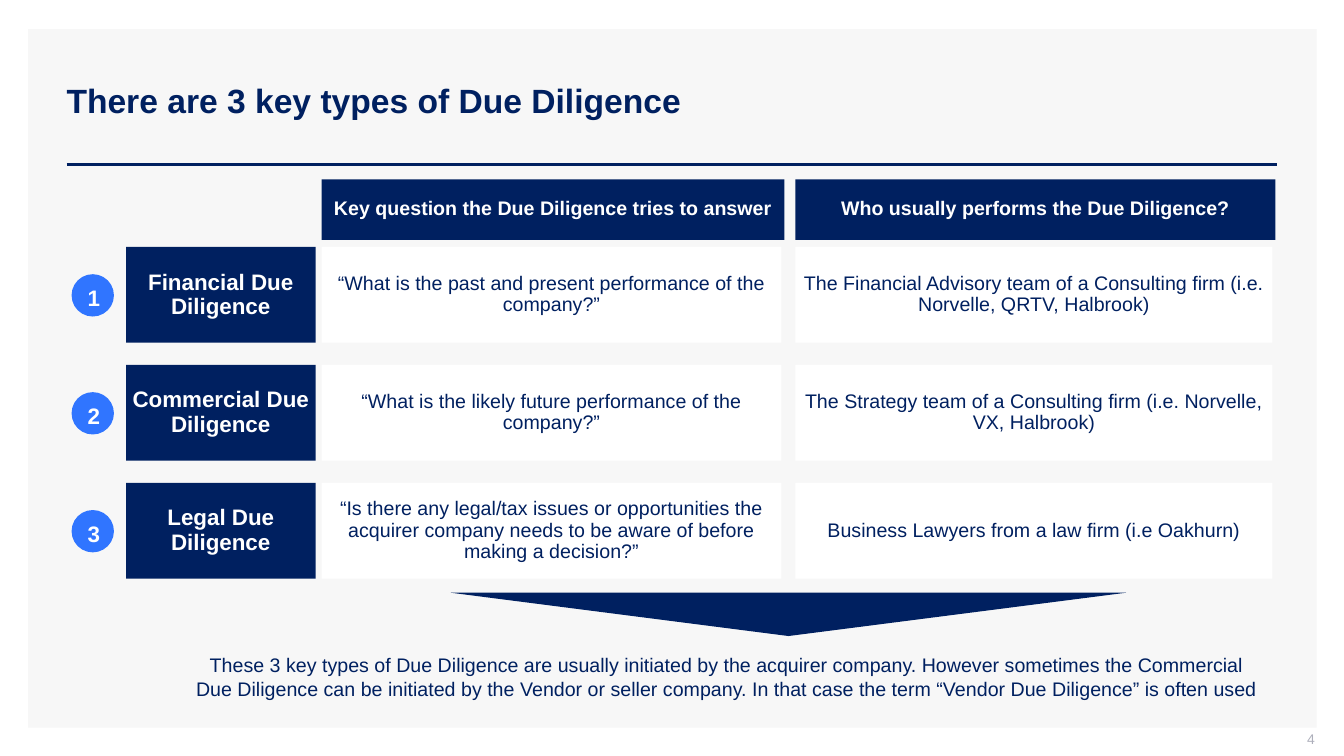
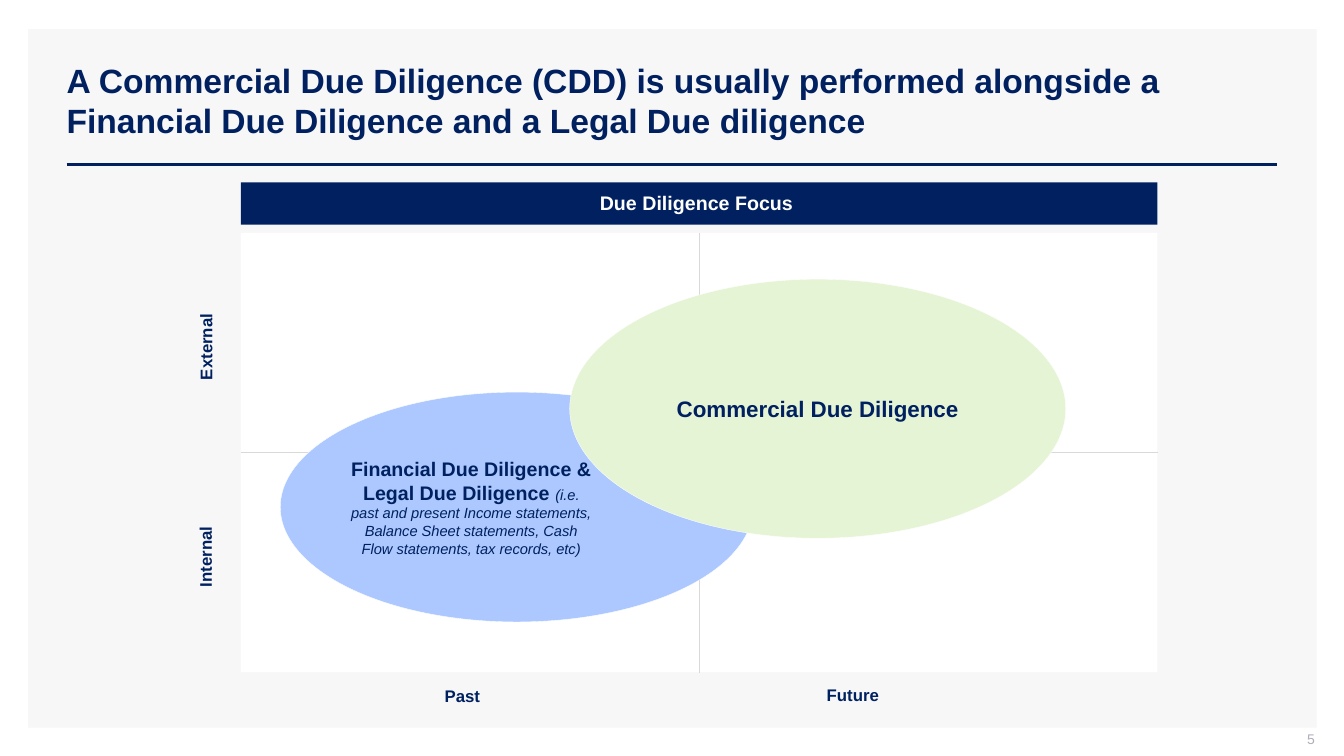
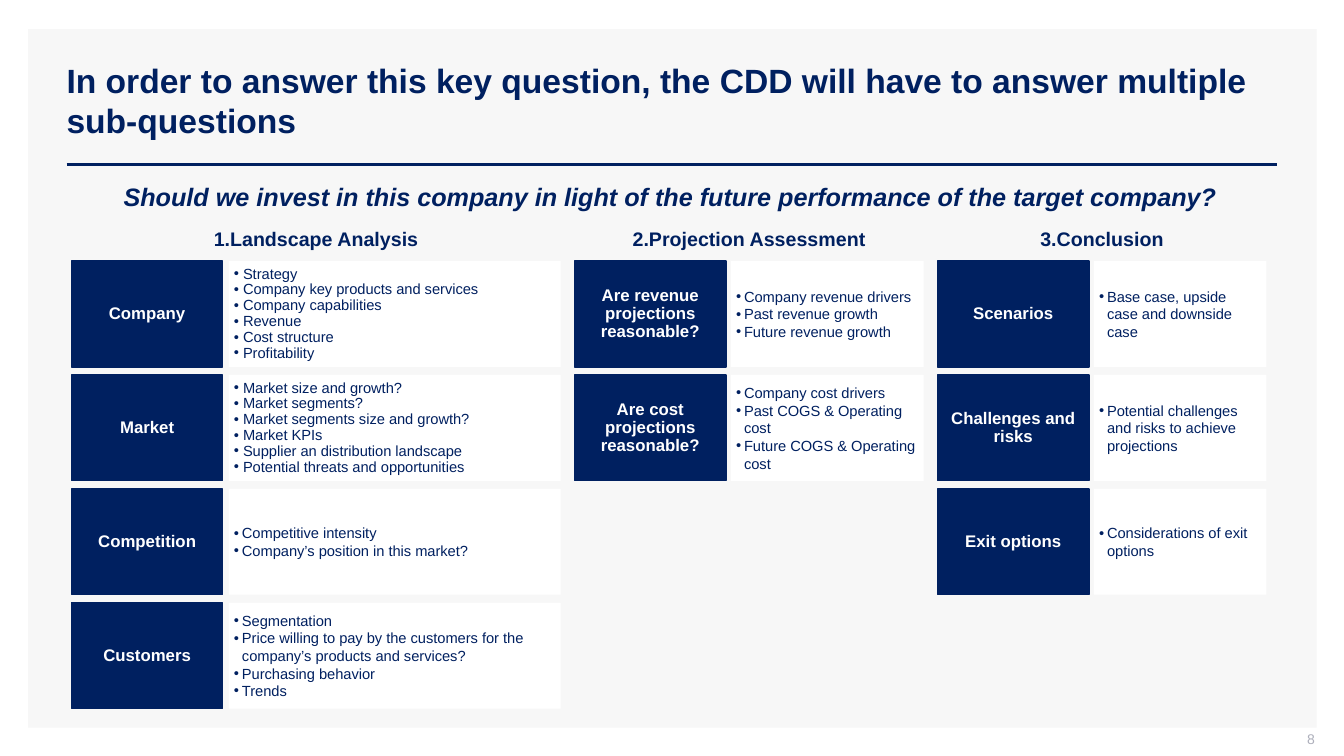
import pptx
import pptx.dml.color
import pptx.enum.dml
import pptx.enum.shapes
import pptx.enum.text
import pptx.oxml.ns
import pptx.util
from lxml import etree

Inches = pptx.util.Inches
Pt = pptx.util.Pt
RGBColor = pptx.dml.color.RGBColor
Shape = pptx.enum.shapes.MSO_SHAPE
Align = pptx.enum.text.PP_ALIGN
Anchor = pptx.enum.text.MSO_ANCHOR
AutoSize = pptx.enum.text.MSO_AUTO_SIZE
qn = pptx.oxml.ns.qn

NAVY = RGBColor(0x00, 0x20, 0x60)
BLUE = RGBColor(0x30, 0x75, 0xFF)
PALE_BLUE = RGBColor(0xAC, 0xC8, 0xFF)
PALE_GREEN = RGBColor(0xE5, 0xF4, 0xD4)
WHITE = RGBColor(0xFF, 0xFF, 0xFF)
PANEL = RGBColor(0xF7, 0xF7, 0xF7)
DOTTED = RGBColor(0xD9, 0xD9, 0xD9)
PAGE_NUMBER = RGBColor(0xAD, 0xAF, 0xBB)
FONT = "Arial"
HAIRLINE = 0.25
TIGHT = (0.05, 0.05, 0.05, 0.05)
HEADING = (0.08, 0, 0.08, 0)
DEFAULT = (0.1, 0.05, 0.1, 0.05)


def add_span(para, text, size, color=NAVY, bold=False, italic=False):
    span = para.add_run()
    span.text = text
    span.font.name = FONT
    span.font.size = Pt(size)
    span.font.color.rgb = color
    span.font.bold = bold
    span.font.italic = italic


def set_frame(frame, insets=DEFAULT, anchor=Anchor.MIDDLE, wrap=True):
    frame.margin_left, frame.margin_top, frame.margin_right, frame.margin_bottom = map(Inches, insets)
    frame.vertical_anchor = anchor
    frame.word_wrap = wrap


def write(shape, text, size, color=NAVY, bold=False, italic=False, align=Align.CENTER, spacing=None):
    para = shape.text_frame.paragraphs[0]
    para.alignment = align
    para.line_spacing = spacing
    add_span(para, text, size, color, bold, italic)
    return para


def add_box(page, at, fill, kind=Shape.RECTANGLE, line=None, width=HAIRLINE, insets=TIGHT, wrap=True):
    box = page.shapes.add_shape(kind, *map(Inches, at))
    box.shadow.inherit = False
    box.fill.solid()
    box.fill.fore_color.rgb = fill
    if line is None:
        box.line.fill.background()
    else:
        box.line.color.rgb = line
        box.line.width = Pt(width)
    set_frame(box.text_frame, insets, wrap=wrap)
    return box


def add_text(page, at, text, size, insets=DEFAULT, anchor=Anchor.TOP, wrap=True, grow=True, **style):
    box = page.shapes.add_textbox(*map(Inches, at))
    set_frame(box.text_frame, insets, anchor, wrap)
    if grow:
        box.text_frame.auto_size = AutoSize.SHAPE_TO_FIT_TEXT
    write(box, text, size, **style)
    return box


def add_axis_label(page, at, text, rotation=0):
    label = add_text(page, at, text, 12, insets=(0, 0, 0, 0), wrap=False, bold=True, align=Align.LEFT)
    label.rotation = rotation


def add_line(page, start, end, color, width):
    line = page.shapes.add_connector(pptx.enum.shapes.MSO_CONNECTOR.STRAIGHT, *map(Inches, start + end))
    line.line.color.rgb = color
    line.line.width = Pt(width)
    etree.SubElement(line.element.spPr, qn("a:effectLst"))
    return line


def add_divider(page, area, start, end, sides):
    line = add_line(page, start, end, DOTTED, HAIRLINE)
    line.line.dash_style = pptx.enum.dml.MSO_LINE.ROUND_DOT
    line.begin_connect(area, sides[0])
    line.end_connect(area, sides[1])


def add_bullets(box, items):
    dense = len(items) > 5
    indent = Inches(0.09 if dense else 0.08)
    frame = box.text_frame
    for index, item in enumerate(items):
        para = frame.add_paragraph() if index else frame.paragraphs[0]
        para.alignment = Align.LEFT
        para.line_spacing = 0.9 if dense else None
        properties = para._p.get_or_add_pPr()
        properties.set("marL", str(indent))
        properties.set("indent", str(-indent))
        etree.SubElement(properties, qn("a:buFont")).set("typeface", FONT)
        etree.SubElement(properties, qn("a:buChar")).set("char", "•")
        add_span(para, item, 10.5)


def prepare_layout(deck):
    layout = deck.slide_layouts.get_by_name("Title Only")
    title = layout.placeholders[0]
    title.left, title.top, title.width, title.height = map(Inches, (0.56, 0.4, 12.11, 1.19))
    return layout


def move_to_layout(layout, shapes):
    for offset, shape in enumerate(shapes):
        layout.shapes.element.insert(2 + offset, shape.element)


def add_page(deck, layout, title, number):
    page = deck.slides.add_slide(layout)
    if len(deck.slides) == 1:
        panel = add_box(page, (0.28, 0.29, 12.78, 6.93), PANEL)
        rule = add_line(page, (0.66, 1.63), (12.67, 1.63), NAVY, 2)
        move_to_layout(layout, (panel, rule))
    set_frame(page.shapes.title.text_frame)
    page.shapes.title.text_frame.auto_size = AutoSize.NONE
    write(page.shapes.title, title, 24, bold=True, align=Align.LEFT)
    add_text(page, (10.04, 7.25, 3, 0.21), number, 10, insets=(0.1, 0, 0, 0.05), anchor=Anchor.MIDDLE,
             grow=False, color=PAGE_NUMBER, align=Align.RIGHT)
    return page


def build_types(page):
    headers = [(3.19, 4.59, "Key question the Due Diligence tries to answer"),
               (7.89, 4.76, "Who usually performs the Due Diligence?")]
    for left, width, text in headers:
        write(add_box(page, (left, 1.78, width, 0.6), NAVY), text, 14, WHITE, bold=True, spacing=0.9)

    rows = [
        ("Financial Due Diligence", "“What is the past and present performance of the company?”",
         "The Financial Advisory team of a Consulting firm (i.e. Norvelle, QRTV, Halbrook)"),
        ("Commercial Due Diligence", "“What is the likely future performance of the company?”",
         "The Strategy team of a Consulting firm (i.e. Norvelle, VX, Halbrook)"),
        ("Legal Due Diligence",
         "“Is there any legal/tax issues or opportunities the acquirer company needs to be aware of "
         "before making a decision?”",
         "Business Lawyers from a law firm (i.e Oakhurn)"),
    ]
    for index, (name, question, performer) in enumerate(rows):
        top = 2.45 + index * 1.17
        badge = add_box(page, (0.71, top + 0.27, 0.42, 0.42), BLUE, Shape.OVAL, insets=(0.1, 0.1, 0.1, 0.05))
        write(badge, str(index + 1), 16, WHITE, bold=True)
        write(add_box(page, (1.25, top, 1.88, 0.95), NAVY), name, 16, WHITE, bold=True, spacing=0.9)
        for left, width, text in ((3.19, 4.56, question), (7.89, 4.73, performer)):
            write(add_box(page, (left, top, width, 0.95), WHITE), text, 14, spacing=0.9)

    arrow = add_box(page, (4.47, 5.88, 6.7, 0.43), NAVY, Shape.ISOSCELES_TRIANGLE)
    arrow.rotation = 180
    add_text(page, (1.8, 6.43, 10.82, 0.57),
             "These 3 key types of Due Diligence are usually initiated by the acquirer company. However "
             "sometimes the Commercial Due Diligence can be initiated by the Vendor or seller company. "
             "In that case the term “Vendor Due Diligence” is often used", 14)


def build_focus(page):
    left, top, width, height = 2.39, 2.31, 9.09, 4.36
    area = add_box(page, (left, top, width, height), WHITE)
    middle_x, middle_y = left + width / 2, top + height / 2
    add_divider(page, area, (left, middle_y), (left + width, middle_y), (1, 3))
    add_divider(page, area, (middle_x, top), (middle_x, top + height), (0, 2))

    add_axis_label(page, (1.73, 5.42, 0.61, 0.2), "Internal", 270)
    add_axis_label(page, (1.71, 3.34, 0.66, 0.2), "External", 270)
    add_axis_label(page, (8.2, 6.79, 0.52, 0.2), "Future")
    add_axis_label(page, (4.41, 6.8, 0.4, 0.2), "Past")

    financial = add_box(page, (2.78, 3.89, 4.69, 2.28), PALE_BLUE, Shape.OVAL, WHITE,
                        insets=(0, 0.05, 0.9, 0.05))
    para = write(financial, "Financial Due Diligence & Legal Due Diligence ", 14, bold=True)
    add_span(para, "(i.e. past and present Income statements, Balance Sheet statements, "
                   "Cash Flow statements, tax records, etc)", 10.5, italic=True)
    commercial = add_box(page, (5.65, 2.77, 4.92, 2.57), PALE_GREEN, Shape.OVAL, WHITE, insets=DEFAULT)
    write(commercial, "Commercial Due Diligence", 16, bold=True)
    header = add_box(page, (left, 1.81, width, 0.42), NAVY, insets=HEADING, wrap=False)
    write(header, "Due Diligence Focus ", 14, WHITE, bold=True, spacing=0.95)


def build_questions(page):
    add_text(page, (0.66, 1.75, 11.98, 0.4),
             "Should we invest in this company in light of the future performance of the target company?",
             18, bold=True, italic=True)
    columns = [
        ("1.Landscape Analysis", 2.19, 0.71, 1.56, 3.29, [
            ("Company", ["Strategy", "Company key products and services", "Company capabilities",
                         "Revenue", "Cost structure", "Profitability"]),
            ("Market", ["Market size and growth?", "Market segments?", "Market segments size and growth?",
                        "Market KPIs", "Supplier an distribution landscape",
                        "Potential threats and opportunities"]),
            ("Competition", ["Competitive intensity", "Company’s position in this market?"]),
            ("Customers", ["Segmentation",
                           "Price willing to pay by the customers for the company’s products and services?",
                           "Purchasing behavior", "Trends"]),
        ]),
        ("2.Projection Assessment", 2.48, 5.7, 1.55, 1.91, [
            ("Are revenue projections reasonable?",
             ["Company revenue drivers", "Past revenue growth", "Future revenue growth"]),
            ("Are cost projections reasonable?",
             ["Company cost drivers", "Past COGS & Operating cost", "Future COGS & Operating cost"]),
        ]),
        ("3.Conclusion", 1.39, 9.3, 1.55, 1.71, [
            ("Scenarios", ["Base case, upside case and downside case"]),
            ("Challenges and risks", ["Potential challenges and risks to achieve projections"]),
            ("Exit options", ["Considerations of exit options"]),
        ]),
    ]
    for heading, heading_width, left, offset, list_width, topics in columns:
        heading_left = left + (offset + list_width - heading_width) / 2
        heading_box = add_box(page, (heading_left, 2.27, heading_width, 0.22), PANEL,
                              insets=HEADING, wrap=False)
        write(heading_box, heading, 14, bold=True, spacing=0.95)
        for index, (topic, items) in enumerate(topics):
            top = 2.59 + index * 1.13
            add_bullets(add_box(page, (left + offset, top, list_width, 1.05), WHITE), items)
            topic_box = add_box(page, (left, top, 1.5, 1.05), NAVY, line=NAVY, width=1)
            write(topic_box, topic, 12, WHITE, bold=True, spacing=0.9)


def main():
    deck = pptx.Presentation()
    deck.slide_width, deck.slide_height = Inches(13.33), Inches(7.5)
    layout = prepare_layout(deck)
    pages = [
        ("There are 3 key types of Due Diligence", "4", build_types),
        ("A Commercial Due Diligence (CDD) is usually performed alongside a Financial Due Diligence "
         "and a Legal Due diligence", "5", build_focus),
        ("In order to answer this key question, the CDD will have to answer multiple sub-questions",
         "8", build_questions),
    ]
    for title, number, build in pages:
        build(add_page(deck, layout, title, number))
    deck.save("out.pptx")


if __name__ == "__main__":
    main()
